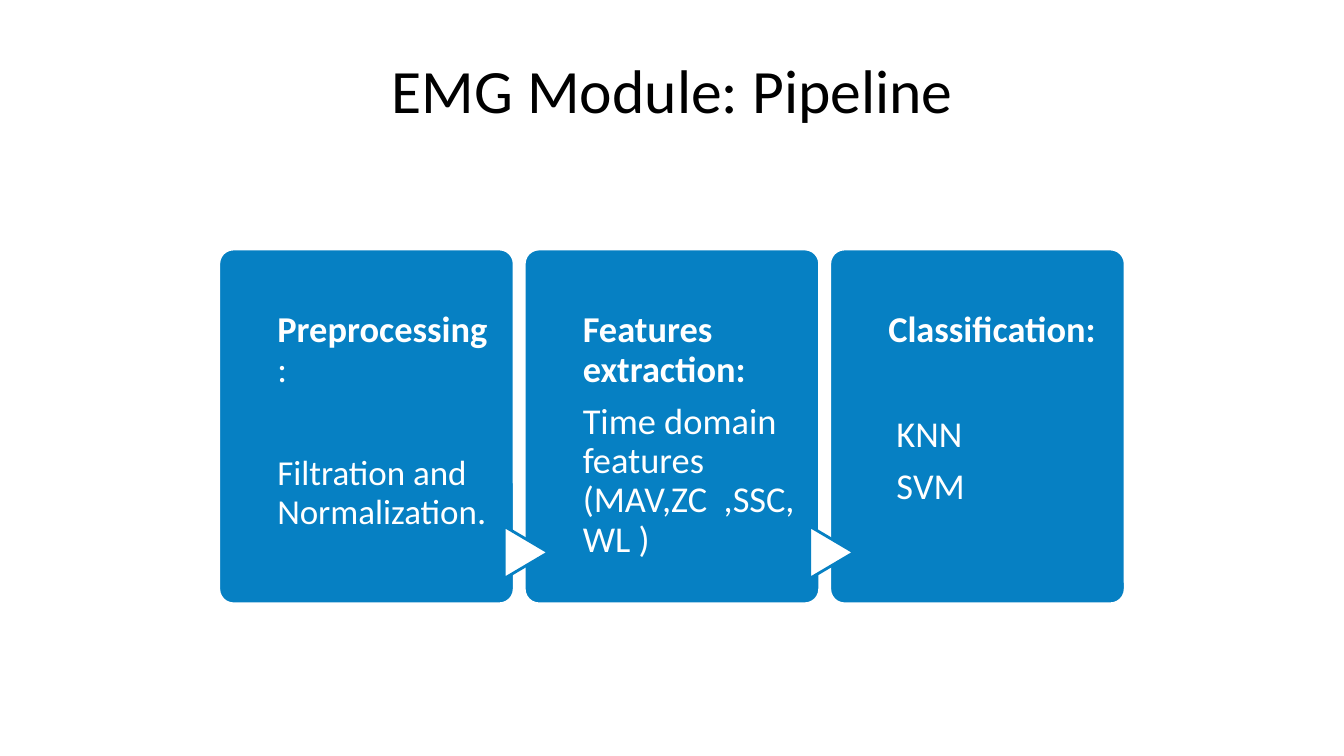
from pptx import Presentation
from pptx.dml.color import RGBColor
from pptx.enum.shapes import MSO_SHAPE
from pptx.enum.text import MSO_ANCHOR, PP_ALIGN
from pptx.util import Inches, Pt

BLUE, WHITE, BLACK = "0680C3", "FFFFFF", "000000"
CARD_LEFT, CARD_TOP, CARD_PITCH = 2.17, 2.47, 3.03
CARD_WIDTH, CARD_HEIGHT = 2.93, 3.52
LINE_GAP, SECTION_GAP = 9.1, 46.8

STAGES = [
    [
        (0, [("Preprocessing", 26, True), (":", 26, False)]),
        (SECTION_GAP, [("Filtration and Normalization", 25, False), (".", 26, False)]),
    ],
    [
        (0, [("Features extraction:", 26, True)]),
        (LINE_GAP, [("Time domain features (MAV,ZC  ,SSC,WL )", 26, False)]),
    ],
    [
        (0, [("Classification:", 26, True)]),
        (SECTION_GAP, [(" KNN", 26, False)]),
        (LINE_GAP, [(" SVM", 26, False)]),
    ],
]


def color(value):
    return RGBColor.from_string(value)


def apply_format(target, values):
    for name, value in values.items():
        setattr(target, name, value)


class PipelineSlide:
    font_name = "Calibri"
    line_spacing = 0.9
    line_width = Pt(2)

    def __init__(self, presentation):
        self.slide = presentation.slides.add_slide(presentation.slide_layouts[6])

    def add_shape(self, kind, box, fill, line, rotation=0):
        shape = self.slide.shapes.add_shape(kind, *map(Inches, box))
        shape.shadow.inherit = False
        shape.rotation = rotation
        shape.fill.solid()
        shape.fill.fore_color.rgb = color(fill)
        shape.line.color.rgb = color(line)
        shape.line.width = self.line_width
        return shape

    def add_card(self, left):
        box = (left, CARD_TOP, CARD_WIDTH, CARD_HEIGHT)
        card = self.add_shape(MSO_SHAPE.ROUNDED_RECTANGLE, box, BLUE, WHITE)
        card.adjustments[0] = 0.05

    def add_arrow(self, card_left):
        box = (card_left - 0.24, 5.26, 0.52, 0.44)
        self.add_shape(MSO_SHAPE.FLOWCHART_EXTRACT, box, WHITE, BLUE, 90)

    def add_text(self, box, paragraphs, text_color, alignment, anchor, insets):
        frame = self.slide.shapes.add_textbox(*map(Inches, box)).text_frame
        left, top, right, bottom = map(Inches, insets)
        apply_format(frame, {
            "word_wrap": True,
            "vertical_anchor": anchor,
            "margin_left": left,
            "margin_top": top,
            "margin_right": right,
            "margin_bottom": bottom,
        })
        for index, (space_before, runs) in enumerate(paragraphs):
            paragraph = frame.add_paragraph() if index else frame.paragraphs[0]
            apply_format(paragraph, {
                "alignment": alignment,
                "line_spacing": self.line_spacing,
                "space_before": Pt(space_before),
            })
            for text, size, bold in runs:
                run = paragraph.add_run()
                run.text = text
                apply_format(run.font, {"name": self.font_name, "size": Pt(size), "bold": bold})
                run.font.color.rgb = color(text_color)

    def add_title(self, text):
        self.add_text((2.17, 0.3, 9, 1.25), [(0, [(text, 44, False)])], BLACK,
                      PP_ALIGN.CENTER, MSO_ANCHOR.MIDDLE, (0.1, 0.05, 0.1, 0.05))

    def add_stage(self, index, paragraphs):
        left = CARD_LEFT + index * CARD_PITCH
        self.add_card(left)
        if index:
            self.add_arrow(left)
        self.add_text((left + 0.58, CARD_TOP, 2.18, CARD_HEIGHT), paragraphs, WHITE,
                      PP_ALIGN.LEFT, MSO_ANCHOR.TOP, (0, 0.62, 0, 0))


def main():
    presentation = Presentation()
    presentation.slide_width = Inches(13.33)
    presentation.slide_height = Inches(7.5)
    pipeline = PipelineSlide(presentation)
    pipeline.add_title("EMG Module: Pipeline")
    for index, paragraphs in enumerate(STAGES):
        pipeline.add_stage(index, paragraphs)
    presentation.save("out.pptx")


if __name__ == "__main__":
    main()
